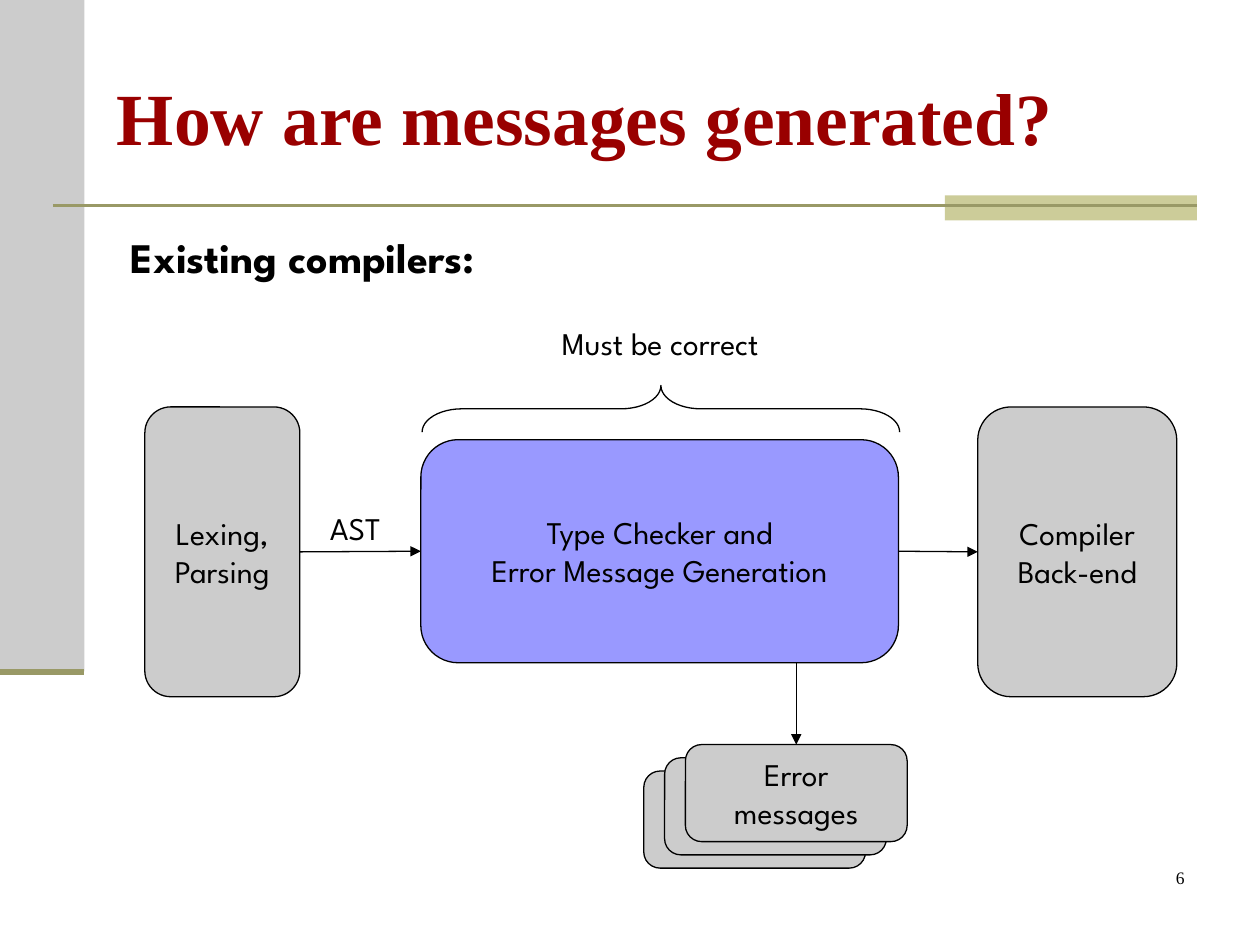
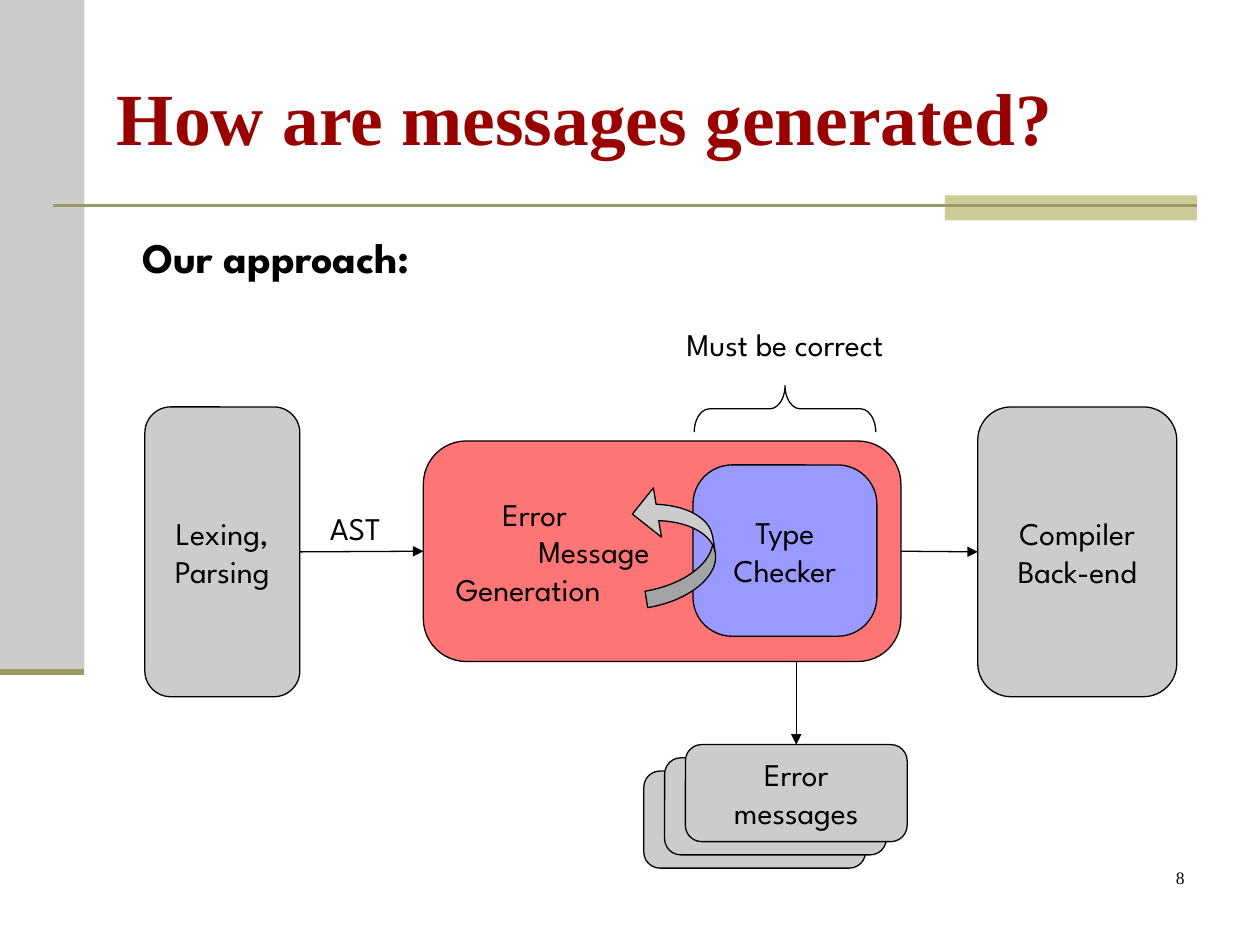
from dataclasses import dataclass, replace

from lxml import etree
from pptx import Presentation
from pptx import util as u
from pptx.dml.color import RGBColor
from pptx.enum import shapes, text
from pptx.oxml.ns import qn

COLS, ROWS = 100, 75  # square grid cells on a 10 x 7.5 inch slide
WIDTH, HEIGHT = u.Inches(10), u.Inches(7.5)
LEFT, CENTER, RIGHT = text.PP_ALIGN.LEFT, text.PP_ALIGN.CENTER, text.PP_ALIGN.RIGHT
TOP, MIDDLE = text.MSO_ANCHOR.TOP, text.MSO_ANCHOR.MIDDLE
SHAPE = shapes.MSO_SHAPE


@dataclass(frozen=True)
class Theme:
    serif: str = "Times New Roman"
    sans: str = "League Spartan"
    ink: str = "000000"
    title: str = "990000"
    grey: str = "CCCCCC"
    sand: str = "CCCC99"
    olive: str = "999966"
    blue: str = "9999FF"
    red: str = "FF7575"
    title_size: float = 42
    heading_size: float = 24
    body_size: float = 18
    number_size: float = 10
    outline: float = 0.75
    rule: float = 1.5
    edge: float = 3.5


T = Theme()
BODY = {"name": T.sans, "size": u.Pt(T.body_size), "bold": False}
HEADING = {"name": T.sans, "size": u.Pt(T.heading_size), "bold": True}
TITLE = {"name": T.serif, "size": u.Pt(T.title_size), "bold": True}
NUMBER = {"name": T.serif, "size": u.Pt(T.number_size), "bold": False}


@dataclass(frozen=True)
class Box:
    x: float
    y: float
    w: float
    h: float
    lines: tuple[str, ...] = ()
    fill: str = T.grey
    corner: float = 0.167
    indents: tuple[float, ...] = ()  # left indent of each line, in columns


@dataclass(frozen=True)
class Label:
    x: float
    y: float
    w: float
    h: float
    words: str


@dataclass(frozen=True)
class Pipeline:
    """The parts of the compiler diagram that differ between slides."""
    number: int
    heading: Label
    stage: Box
    correct_label: Label
    brace_x: float
    brace_w: float


LEXER = Box(11.5, 32.3, 12.3, 23, ("Lexing,", "Parsing"))
BACK_END = Box(77.6, 32.3, 15.8, 23, ("Compiler", "Back-end"))
MESSAGES = Box(54.4, 59.1, 17.6, 7.7, ("Error", "messages"))
CHECKER = Box(55, 36.9, 14.6, 13.6, ("Type", "Checker"), T.blue, 0.229)
AST = Label(25.2, 39.9, 6.3, 4, "AST")
CARDS, CARD_DX, CARD_DY = 3, 1.65, 1.05
BRACE_Y, BRACE_DEPTH = 30.6, 3.7

EXISTING = Pipeline(
    6, Label(9.4, 17.9, 33.4, 5, "Existing compilers:"),
    Box(33.4, 34.9, 37.9, 17.7, ("Type Checker and", "Error Message Generation"), T.blue),
    Label(42.2, 25.2, 20.4, 4, "Must be correct"), 33.5, 37.9)
OURS = Pipeline(
    8, Label(10.3, 17.9, 25.9, 5, "Our approach:"),
    Box(33.6, 35, 37.9, 17.5, ("Error", "Message", "Generation"), T.red, 0.195,
        (4.3, 7.15, 0.6)),
    Label(52.1, 25.3, 20.4, 4, "Must be correct"), 55.1, 14.4)


def col(n: float) -> int:
    return round(WIDTH * n / COLS)


def row(n: float) -> int:
    return round(HEIGHT * n / ROWS)


def rgb(code: str) -> RGBColor:
    return RGBColor.from_string(code)


def set_all(target, values: dict) -> None:
    for name, value in values.items():
        setattr(target, name, value)


def write(tf, lines, font: dict, color: str = T.ink, align=LEFT, anchor=TOP,
          wrap: bool = True, indents: tuple[float, ...] = ()) -> None:
    set_all(tf, {"word_wrap": wrap, "vertical_anchor": anchor})
    for i, line in enumerate(lines):
        p = tf.add_paragraph() if i else tf.paragraphs[0]
        p.alignment = align
        if indents:
            p._p.get_or_add_pPr().set("marL", str(col(indents[i])))
        r = p.add_run()
        r.text = line
        set_all(r.font, font)
        r.font.color.rgb = rgb(color)


def add_text(s, area: Label, font: dict, **options):
    sp = s.shapes.add_textbox(col(area.x), row(area.y), col(area.w), row(area.h))
    write(sp.text_frame, [area.words], font, **options)
    return sp


def add_label(s, label: Label, font: dict = BODY, align=LEFT) -> None:
    sp = add_text(s, label, font, align=align, wrap=False)
    sp.text_frame.auto_size = text.MSO_AUTO_SIZE.SHAPE_TO_FIT_TEXT


def add_preset(s, kind, x: float, y: float, w: float, h: float,
               fill: str | None, outlined: bool = True):
    sp = s.shapes.add_shape(kind, col(x), row(y), col(w), row(h))
    sp.shadow.inherit = False
    if fill:
        sp.fill.solid()
        sp.fill.fore_color.rgb = rgb(fill)
    else:
        sp.fill.background()
    if outlined:
        sp.line.color.rgb = rgb(T.ink)
        sp.line.width = u.Pt(T.outline)
    else:
        sp.line.fill.background()
    return sp


def add_box(s, box: Box):
    sp = add_preset(s, SHAPE.ROUNDED_RECTANGLE, box.x, box.y, box.w, box.h, box.fill)
    sp.adjustments[0] = box.corner
    if box.lines:
        write(sp.text_frame, box.lines, BODY, align=LEFT if box.indents else CENTER,
              anchor=MIDDLE, indents=box.indents)
    return sp


def add_line(s, x1: float, y1: float, x2: float, y2: float,
             color: str = T.ink, width: float = T.outline):
    cx = s.shapes.add_connector(shapes.MSO_CONNECTOR.STRAIGHT,
                                col(x1), row(y1), col(x2), row(y2))
    cx.line.color.rgb = rgb(color)
    cx.line.width = u.Pt(width)
    etree.SubElement(cx._element.spPr, qn("a:effectLst"))
    return cx


def add_arrow(s, x1: float, y1: float, x2: float, y2: float):
    cx = add_line(s, x1, y1, x2, y2)
    etree.SubElement(cx.line._get_or_add_ln(), qn("a:tailEnd"), type="triangle")
    return cx


def join_sideways(s, source, target) -> None:
    cx = add_arrow(s, 0, 0, 1, 0)
    cx.begin_connect(source, 3)
    cx.end_connect(target, 1)


def add_brace(s, x: float, span: float) -> None:
    """Draw a brace over the given span: a left brace turned to point upwards."""
    left = x + (span - BRACE_DEPTH) / 2
    top = BRACE_Y + (BRACE_DEPTH - span) / 2
    sp = add_preset(s, SHAPE.LEFT_BRACE, left, top, BRACE_DEPTH, span, None)
    sp.rotation = 90
    sp.adjustments[0] = span / 12 / BRACE_DEPTH


def add_card_stack(s):
    for behind in reversed(range(CARDS)):
        card = replace(MESSAGES, x=MESSAGES.x - behind * CARD_DX,
                       y=MESSAGES.y + behind * CARD_DY,
                       lines=() if behind else MESSAGES.lines)
        sp = add_box(s, card)
    return sp


def add_feedback_arrow(s) -> None:
    sp = add_preset(s, SHAPE.CURVED_RIGHT_ARROW, 50.6, 38.3, 6, 9.5, T.grey)
    sp.rotation = 170.7
    for i, share in enumerate((0.22, 0.66, 0.33)):
        sp.adjustments[i] = share


def add_frame(s, number: int) -> None:
    """Draw the bands, rules, title and page number that every slide has."""
    add_preset(s, SHAPE.RECTANGLE, 0, 0, 6.7, 53.3, T.grey, outlined=False)
    add_preset(s, SHAPE.RECTANGLE, 75, 15.5, 20, 2, T.sand, outlined=False)
    add_line(s, 4.2, 16.3, 95, 16.3, T.olive, T.rule)
    add_line(s, 0, 53.3, 6.7, 53.3, T.olive, T.edge)
    add_text(s, Label(8.3, 3, 86.7, 12.5, "How are messages generated?"), TITLE,
             color=T.title, anchor=MIDDLE)
    add_text(s, Label(74.2, 68.3, 20.8, 5, str(number)), NUMBER, align=RIGHT)


def add_pipeline(prs, plan: Pipeline):
    s = prs.slides.add_slide(prs.slide_layouts[6])
    add_frame(s, plan.number)
    add_label(s, plan.heading, HEADING)
    lexer, stage, back_end = (add_box(s, b) for b in (LEXER, plan.stage, BACK_END))
    messages = add_card_stack(s)
    join_sideways(s, lexer, stage)
    join_sideways(s, stage, back_end)
    drop_x = MESSAGES.x + MESSAGES.w / 2
    drop = add_arrow(s, drop_x, plan.stage.y + plan.stage.h, drop_x, MESSAGES.y)
    drop.end_connect(messages, 0)
    add_brace(s, plan.brace_x, plan.brace_w)
    add_label(s, plan.correct_label, align=CENTER)
    add_label(s, AST)
    return s


def main() -> None:
    prs = Presentation()
    set_all(prs, {"slide_width": WIDTH, "slide_height": HEIGHT})
    add_pipeline(prs, EXISTING)
    s = add_pipeline(prs, OURS)
    add_box(s, CHECKER)
    add_feedback_arrow(s)
    prs.save("out.pptx")


if __name__ == "__main__":
    main()
